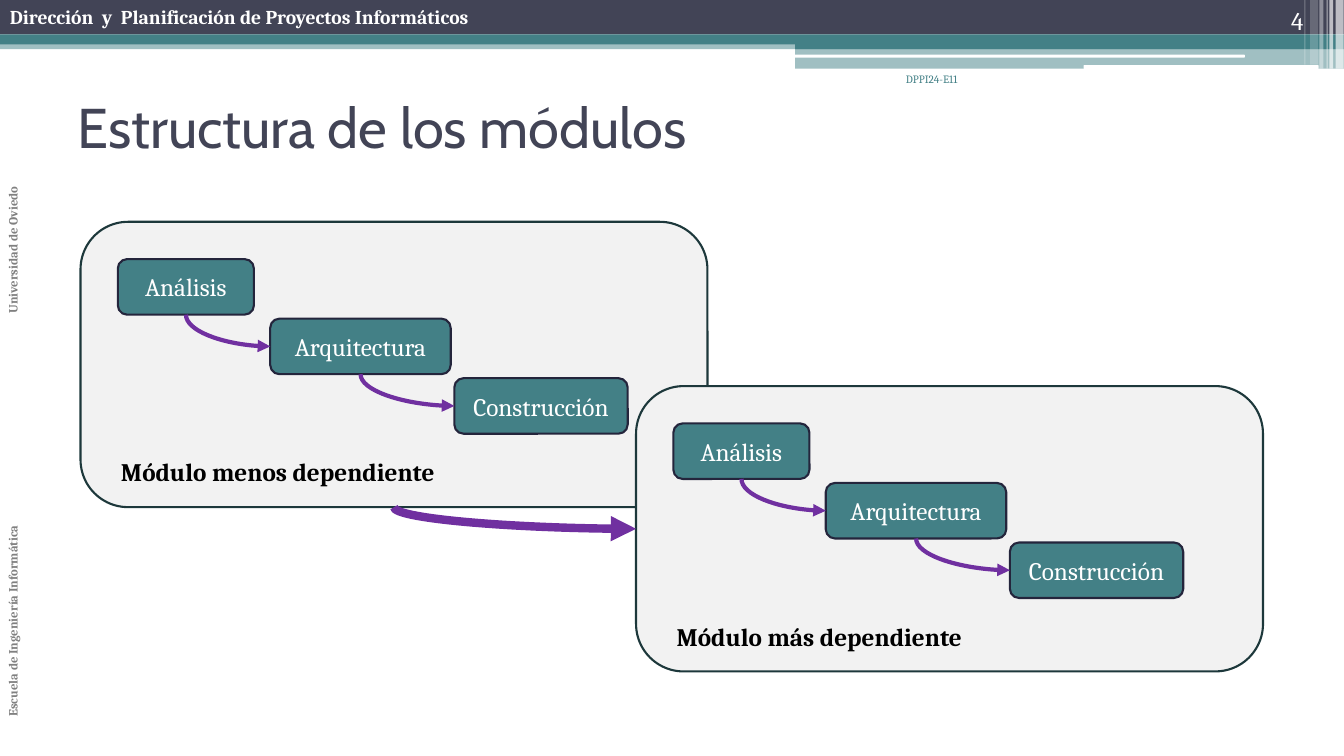
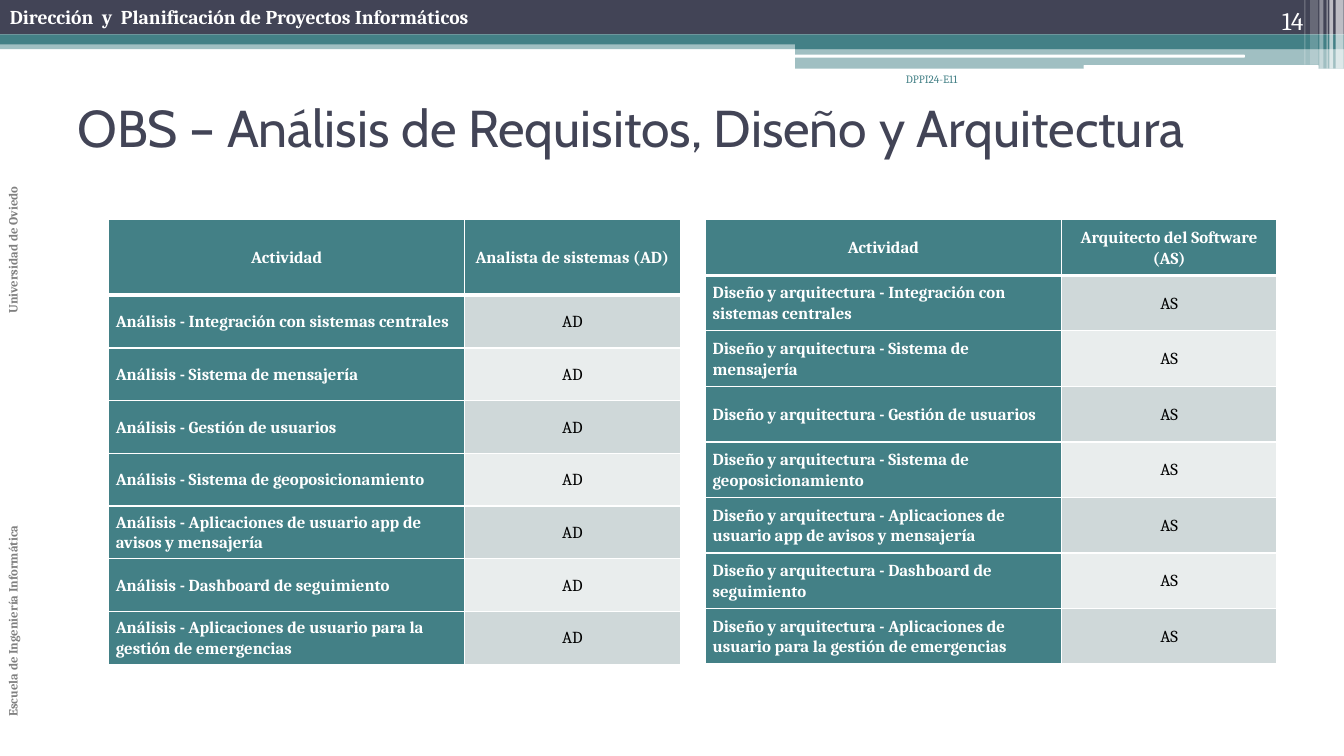
from dataclasses import dataclass

import lxml.etree
import pptx
import pptx.dml.color
import pptx.enum.shapes
import pptx.enum.text
import pptx.oxml.ns
import pptx.shapes.autoshape
import pptx.slide
import pptx.table
import pptx.text.text
import pptx.util

Cm = pptx.util.Cm
Pt = pptx.util.Pt
qn = pptx.oxml.ns.qn
SHAPES = pptx.enum.shapes.MSO_SHAPE
ALIGN = pptx.enum.text.PP_ALIGN
ANCHOR = pptx.enum.text.MSO_ANCHOR

COLORS = {
    "navy": "424456",
    "teal": "438086",
    "white": "FFFFFF",
    "black": "000000",
    "grey": "808080",
    "panel": "F2F2F2",
    "panel_edge": "1D383B",
    "step_edge": "24253C",
    "arrow": "7030A0",
    "row_dark": "CFD8D9",
    "row_light": "E9EDED",
}
BODY_FONT = "Cambria"
TITLE_FONT = "Cabin"


@dataclass(frozen=True)
class Box:
    left: float
    top: float
    width: float
    height: float

    def lengths(self) -> tuple[int, int, int, int]:
        return Cm(self.left), Cm(self.top), Cm(self.width), Cm(self.height)


@dataclass(frozen=True)
class Band:
    box: Box
    color: str
    opacity: int = 100
    rounded: bool = False


@dataclass(frozen=True)
class TextStyle:
    size: float
    color: str
    bold: bool = False
    font: str = BODY_FONT
    align: ALIGN = ALIGN.LEFT


@dataclass(frozen=True)
class Step:
    name: str
    left: float
    width: float


@dataclass(frozen=True)
class Module:
    label: str
    left: float
    top: float


@dataclass(frozen=True)
class RoleTable:
    left: float
    role: str
    initials: str
    prefix: str
    header_height: float


WIDTH, HEIGHT = 33.87, 19.05
BANDS = [
    Band(Box(0, 1.02, WIDTH, 0.22), "teal", 50),
    Band(Box(0, 0, WIDTH, 0.87), "navy"),
    Band(Box(0, 0.87, WIDTH, 0.25), "teal"),
    Band(Box(20.04, 0.99, 13.83, 0.25), "teal"),
    Band(Box(20.04, 1.23, 13.83, 0.5), "teal", 50),
    Band(Box(20.02, 1.38, 11.35, 0.07), "white", rounded=True),
    Band(Box(27.31, 1.64, 5.92, 0.1), "white", rounded=True),
    Band(Box(33.66, 0, 0.2, 1.73), "white", 65),
    Band(Box(33.5, 0, 0.1, 1.73), "white", 65),
    Band(Box(33.43, 0, 0.03, 1.73), "white", 60),
    Band(Box(33.25, 0, 0.1, 1.73), "white", 40),
    Band(Box(33.02, 0, 0.2, 1.63), "white", 20),
    Band(Box(32.87, 0, 0.03, 1.63), "white", 30),
]

MODULE_WIDTH, MODULE_HEIGHT = 15.8, 7.19
STEP_TOP, STEP_RISE, STEP_HEIGHT = 0.94, 1.5, 1.4
STEPS = [
    Step("Análisis", 0.94, 3.43),
    Step("Arquitectura", 4.78, 4.55),
    Step("Construcción", 9.42, 4.37),
]
MODULES = [
    Module("Módulo menos dependiente", 2.03, 5.59),
    Module("Módulo más dependiente", 16.03, 9.73),
]

TABLE_TOP, TABLE_HEIGHT = 5.54, 11.2
COLUMN_WIDTHS = (8.97, 5.43)
ACTIVITIES = [
    "Integración con sistemas centrales",
    "Sistema de mensajería",
    "Gestión de usuarios",
    "Sistema de geoposicionamiento",
    "Aplicaciones de usuario app de avisos y mensajería",
    "Dashboard de seguimiento",
    "Aplicaciones de usuario para la gestión de emergencias",
]
ROLE_TABLES = [
    RoleTable(2.74, "Analista de sistemas (AD)", "AD", "Análisis", 1.9),
    RoleTable(17.78, "Arquitecto del Software (AS)", "AS", "Diseño y arquitectura", 1.4),
]


def rgb(name: str) -> pptx.dml.color.RGBColor:
    return pptx.dml.color.RGBColor.from_string(COLORS[name])


def write(paragraph: pptx.text.text._Paragraph, text: str, style: TextStyle) -> None:
    paragraph.text = text
    paragraph.alignment = style.align
    paragraph.font.name = style.font
    paragraph.font.size = Pt(style.size)
    paragraph.font.bold = style.bold
    paragraph.font.color.rgb = rgb(style.color)


def add_text(slide: pptx.slide.Slide, box: Box, text: str, style: TextStyle,
             anchor: ANCHOR = ANCHOR.TOP) -> pptx.text.text.TextFrame:
    frame = slide.shapes.add_textbox(*box.lengths()).text_frame
    frame.word_wrap = True
    frame.vertical_anchor = anchor
    write(frame.paragraphs[0], text, style)
    return frame


def add_band(slide: pptx.slide.Slide, band: Band) -> None:
    outline = SHAPES.ROUNDED_RECTANGLE if band.rounded else SHAPES.RECTANGLE
    strip = slide.shapes.add_shape(outline, *band.box.lengths())
    strip.shadow.inherit = False
    strip.line.fill.background()
    strip.fill.solid()
    strip.fill.fore_color.rgb = rgb(band.color)
    if band.opacity < 100:
        color = strip._element.spPr.find(f"{qn('a:solidFill')}/{qn('a:srgbClr')}")
        lxml.etree.SubElement(color, qn("a:alpha"), val=str(band.opacity * 1000))


def add_side_text(slide: pptx.slide.Slide) -> None:
    frame = slide.shapes.add_textbox(*Box(0, 1.37, 0.89, 16.94).lengths()).text_frame
    frame.word_wrap = True
    frame._txBody.bodyPr.set("vert", "vert270")
    paragraph = frame.paragraphs[0]
    tabs = lxml.etree.SubElement(paragraph._p.get_or_add_pPr(), qn("a:tabLst"))
    lxml.etree.SubElement(tabs, qn("a:tab"), pos=str(Cm(10.16)), algn="l")
    write(paragraph, "Escuela de Ingeniería Informática\tUniversidad de Oviedo",
          TextStyle(9, "grey", bold=True))


def add_base_slide(deck: pptx.presentation.Presentation, title: str, number: int,
                   title_size: float) -> pptx.slide.Slide:
    slide = deck.slides.add_slide(deck.slide_layouts[6])
    for band in BANDS:
        add_band(slide, band)
    add_text(slide, Box(0, 0, 20.93, 0.87),
             "Dirección  y  Planificación de Proyectos Informáticos",
             TextStyle(14, "white", bold=True))
    add_side_text(slide)
    add_text(slide, Box(19.48, 1.7, 4.9, 1.27), "DPPI24-E11",
             TextStyle(8, "teal", align=ALIGN.RIGHT))
    add_text(slide, Box(30.28, 0, 2.82, 1.02), str(number),
             TextStyle(18, "white", align=ALIGN.RIGHT), ANCHOR.BOTTOM)
    add_text(slide, Box(1.7, 1.7, 30.48, 2.97), title,
             TextStyle(title_size, "navy", font=TITLE_FONT), ANCHOR.MIDDLE)
    return slide


def add_card(slide: pptx.slide.Slide, box: Box, fill: str, edge: str, text: str,
             style: TextStyle, anchor: ANCHOR) -> pptx.shapes.autoshape.Shape:
    card = slide.shapes.add_shape(SHAPES.ROUNDED_RECTANGLE, *box.lengths())
    card.shadow.inherit = False
    card.fill.solid()
    card.fill.fore_color.rgb = rgb(fill)
    card.line.color.rgb = rgb(edge)
    card.line.width = Pt(1.5)
    card.text_frame.word_wrap = True
    card.text_frame.vertical_anchor = anchor
    write(card.text_frame.paragraphs[0], text, style)
    return card


def add_curve(slide: pptx.slide.Slide, source: pptx.shapes.autoshape.Shape,
              target: pptx.shapes.autoshape.Shape, weight: float) -> None:
    start_x, start_y = source.left + source.width // 2, source.top + source.height
    end_x, end_y = target.left, target.top + target.height // 2
    run, drop = end_x - start_x, end_y - start_y
    curve = slide.shapes.add_connector(
        pptx.enum.shapes.MSO_CONNECTOR.CURVE, start_x, start_y, end_x, end_y)
    curve.begin_connect(source, 2)
    curve.end_connect(target, 1)
    curve.left, curve.top = (start_x + end_x - drop) // 2, (start_y + end_y - run) // 2
    curve.width, curve.height = drop, run
    properties = curve._element.spPr
    frame = properties.find(qn("a:xfrm"))
    frame.set("rot", "16200000")
    frame.set("flipH", "1")
    properties.find(qn("a:prstGeom")).set("prst", "curvedConnector2")
    curve.line.color.rgb = rgb("arrow")
    curve.line.width = Pt(weight)
    lxml.etree.SubElement(properties.find(qn("a:ln")), qn("a:tailEnd"), type="triangle")
    lxml.etree.SubElement(properties, qn("a:effectLst"))


def add_module(slide: pptx.slide.Slide, module: Module) -> pptx.shapes.autoshape.Shape:
    panel = add_card(slide, Box(module.left, module.top, MODULE_WIDTH, MODULE_HEIGHT),
                     "panel", "panel_edge", module.label,
                     TextStyle(18, "black", bold=True), ANCHOR.BOTTOM)
    panel.text_frame.margin_left = Cm(0.67)
    panel.text_frame.margin_bottom = Cm(0.16)
    cards = [
        add_card(slide, Box(module.left + step.left, module.top + STEP_TOP + i * STEP_RISE,
                            step.width, STEP_HEIGHT),
                 "teal", "step_edge", step.name,
                 TextStyle(18, "white", align=ALIGN.CENTER), ANCHOR.MIDDLE)
        for i, step in enumerate(STEPS)
    ]
    for source, target in zip(cards, cards[1:]):
        add_curve(slide, source, target, 3)
    return panel


def fill_cell(cell: pptx.table._Cell, text: str, fill: str, style: TextStyle,
              top_line: float, bottom_line: float) -> None:
    sides = {"a:lnL": 1, "a:lnR": 1, "a:lnT": top_line, "a:lnB": bottom_line}
    properties = cell._tc.get_or_add_tcPr()
    for side, weight in sides.items():
        border = lxml.etree.SubElement(properties, qn(side), w=str(Pt(weight)))
        paint = lxml.etree.SubElement(border, qn("a:solidFill"))
        lxml.etree.SubElement(paint, qn("a:srgbClr"), val=COLORS["white"])
    cell.fill.solid()
    cell.fill.fore_color.rgb = rgb(fill)
    cell.vertical_anchor = ANCHOR.MIDDLE
    cell.margin_left = cell.margin_right = Cm(0.18)
    cell.margin_top = cell.margin_bottom = Cm(0)
    paragraph = cell.text_frame.paragraphs[0]
    paragraph.line_spacing = 1.07
    paragraph.space_after = Pt(8)
    write(paragraph, text, style)


def add_role_table(slide: pptx.slide.Slide, role: RoleTable) -> None:
    rows = [("Actividad", role.role)]
    rows += [(f"{role.prefix} - {activity}", role.initials) for activity in ACTIVITIES]
    box = Box(role.left, TABLE_TOP, sum(COLUMN_WIDTHS), TABLE_HEIGHT)
    grid = slide.shapes.add_table(len(rows), len(COLUMN_WIDTHS), *box.lengths()).table
    for column, width in zip(grid.columns, COLUMN_WIDTHS):
        column.width = Cm(width)
    body_height = (TABLE_HEIGHT - role.header_height) / len(ACTIVITIES)
    for i, texts in enumerate(rows):
        grid.rows[i].height = Cm(body_height if i else role.header_height)
        for j, text in enumerate(texts):
            is_value = i > 0 and j == 1
            fill = ("row_dark" if i % 2 else "row_light") if is_value else "teal"
            align = ALIGN.LEFT if i > 0 and j == 0 else ALIGN.CENTER
            style = TextStyle(12, "black" if is_value else "white",
                              bold=not is_value, align=align)
            fill_cell(grid.cell(i, j), text, fill, style,
                      3 if i == 1 else 1, 3 if i == 0 else 1)


def main() -> None:
    deck = pptx.Presentation()
    deck.slide_width, deck.slide_height = Cm(WIDTH), Cm(HEIGHT)

    structure = add_base_slide(deck, "Estructura de los módulos", 4, 40)
    less_dependent, more_dependent = [add_module(structure, module) for module in MODULES]
    add_curve(structure, less_dependent, more_dependent, 6)

    breakdown = add_base_slide(
        deck, "OBS – Análisis de Requisitos, Diseño y Arquitectura", 14, 37)
    for role in ROLE_TABLES:
        add_role_table(breakdown, role)

    deck.save("out.pptx")


if __name__ == "__main__":
    main()
